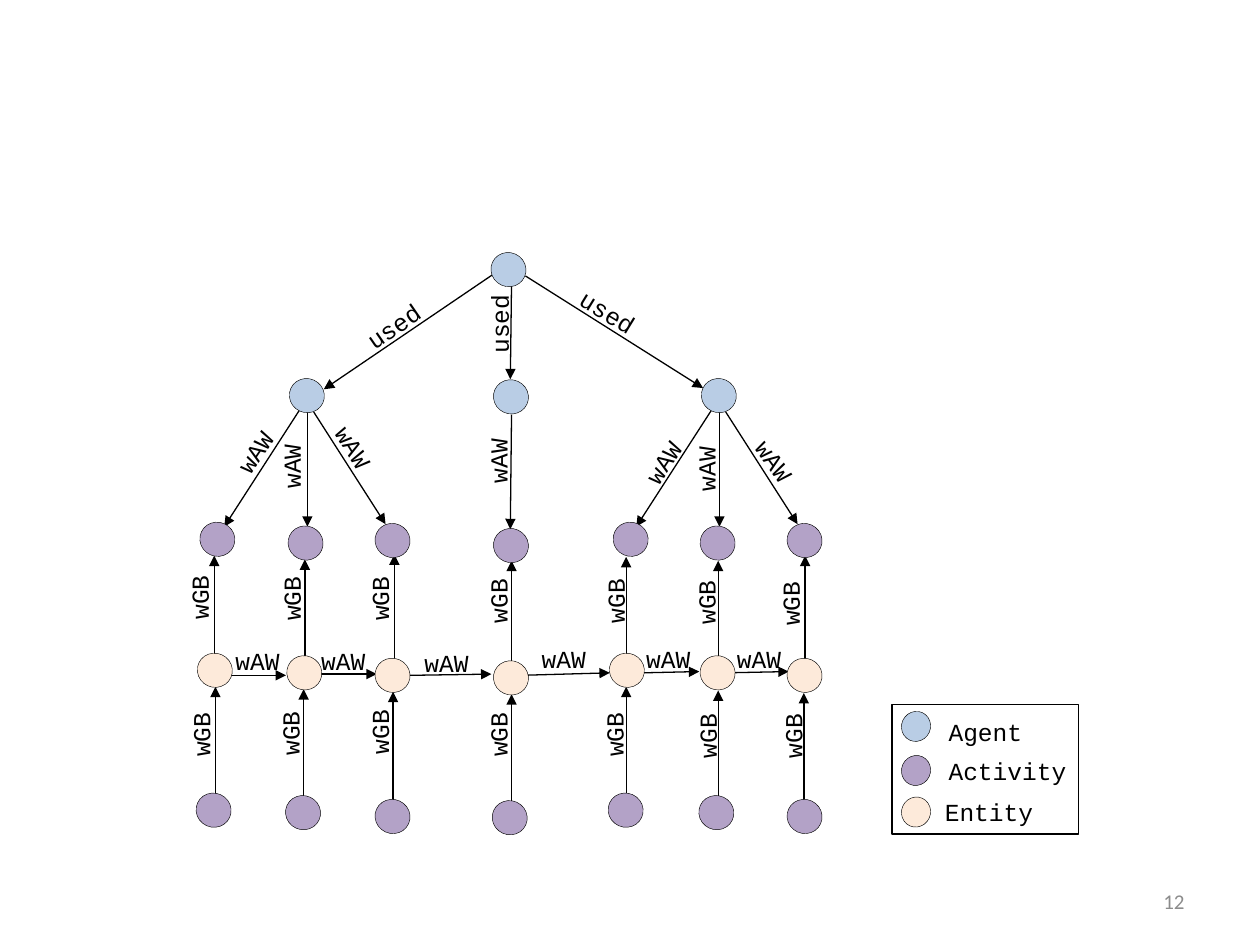
from pptx import Presentation
from pptx.dml.color import RGBColor
from pptx.enum.shapes import MSO_CONNECTOR, MSO_SHAPE
from pptx.enum.text import MSO_ANCHOR, MSO_AUTO_SIZE, PP_ALIGN
from pptx.oxml.ns import qn
from pptx.util import Inches, Pt
from lxml import etree

LINE = MSO_CONNECTOR.STRAIGHT
OVAL, RECT = MSO_SHAPE.OVAL, MSO_SHAPE.RECTANGLE
TOP, MIDDLE = MSO_ANCHOR.TOP, MSO_ANCHOR.MIDDLE
LEFT, RIGHT = PP_ALIGN.LEFT, PP_ALIGN.RIGHT
FIT, FIXED = MSO_AUTO_SIZE.SHAPE_TO_FIT_TEXT, MSO_AUTO_SIZE.NONE

COLORS = {"agent": "B9CDE5", "activity": "B3A2C7", "entity": "FDEADA",
          "ink": "000000", "paper": "FFFFFF", "muted": "8C8C8C"}
COLS, ROWS = 10, 7.5


def color(name):
    """Return the named colour."""
    return RGBColor.from_string(COLORS[name])


def write(tf, text, font="Courier New", size=14, ink="ink", align=LEFT):
    """Put one formatted line of text in a text frame."""
    p = tf.paragraphs[0]
    p.alignment = align
    r = p.add_run()
    r.text = text
    r.font.name = font
    r.font.size = Pt(size)
    r.font.color.rgb = color(ink)


class Graph:
    """Draw provenance graph elements on a slide grid."""

    def __init__(self, prs):
        """Add a blank slide and measure its grid."""
        self.s = prs.slides.add_slide(prs.slide_layouts[6])
        self.col = prs.slide_width / COLS
        self.row = prs.slide_height / ROWS

    def grid(self, *lengths):
        """Turn alternating columns and rows into slide lengths."""
        units = (self.col, self.row)
        return [round(n * units[i % 2]) for i, n in enumerate(lengths)]

    def shape(self, kind, box, fill, width, turn=0):
        """Draw a filled and outlined shape."""
        sp = self.s.shapes.add_shape(kind, *self.grid(*box))
        sp.shadow.inherit = False
        sp.fill.solid()
        sp.fill.fore_color.rgb = color(fill)
        sp.line.color.rgb = color("ink")
        sp.line.width = Pt(width)
        sp.rotation = turn

    def node(self, x, y, kind, w=0.27, h=0.28):
        """Draw a graph node."""
        self.shape(OVAL, (x, y, w, h), kind, 0.25, 114.5)

    def arrow(self, x1, y1, x2, y2):
        """Draw an arrow between two points."""
        c = self.s.shapes.add_connector(LINE, *self.grid(x1, y1, x2, y2))
        c.line.color.rgb = color("ink")
        c.line.width = Pt(0.75)
        etree.SubElement(c.line._get_or_add_ln(), qn("a:tailEnd"), type="triangle")
        etree.SubElement(c._element.spPr, qn("a:effectLst"))

    def text(self, text, box, turn=0, wrap=True, anchor=TOP, fit=FIT, **style):
        """Add a text box."""
        sp = self.s.shapes.add_textbox(*self.grid(*box))
        sp.rotation = turn
        tf = sp.text_frame
        tf.word_wrap = wrap
        tf.auto_size = fit
        tf.vertical_anchor = anchor
        write(tf, text, **style)

    def label(self, text, x, y, turn=0, w=0.55):
        """Add an edge label."""
        self.text(text, (x, y, w, 0.34), turn, wrap=False)


prs = Presentation()
prs.slide_width, prs.slide_height = Inches(COLS), Inches(ROWS)
g = Graph(prs)

SHIFT = 3.27
UP = 270
NODE_ROWS = [
    ("activity", (1.59, 2.29, 2.98, 3.92, 4.87, 5.56, 6.25),
     (4.14, 4.17, 4.15, 4.19, 4.14, 4.17, 4.15)),
    ("entity", (1.57, 2.28, 2.98, 3.92, 4.84, 5.56, 6.25),
     (5.18, 5.2, 5.22, 5.24, 5.18, 5.2, 5.22)),
    ("activity", (1.56, 2.27, 2.98, 3.91, 4.83, 5.55, 6.25),
     (6.29, 6.31, 6.34, 6.35, 6.29, 6.31, 6.34)),
    ("agent", (3.9, 2.3, 3.92, 2.3 + SHIFT), (2, 3, 3.01, 3)),
]
GENERATED = [
    (5.3, (1.7, 2.42, 3.13, 4.06, 4.97, 5.7, 6.39),
     (4.41, 4.44, 4.4, 4.45, 4.42, 4.45, 4.41),
     (1.31, 2.04, 2.74, 3.68, 4.61, 5.33, 6),
     (4.57, 4.58, 4.58, 4.6, 4.6, 4.61, 4.62)),
    (6.4, (1.71, 2.41, 3.12, 4.06, 4.97, 5.7, 6.38),
     (5.45, 5.47, 5.49, 5.51, 5.45, 5.48, 5.5),
     (1.32, 2.03, 2.74, 3.68, 4.6, 5.34, 6.02),
     (5.66, 5.65, 5.64, 5.66, 5.66, 5.67, 5.67)),
]
USED = [(3.91, 2.18, 2.57, 3.09), (4.06, 2.25, 4.05, 3.01), (4.17, 2.19, 5.58, 3.08)]
BRANCHES = [(2.38, 3.25, 1.78, 4.18), (2.44, 3.26, 2.44, 4.18), (2.49, 3.27, 3.06, 4.16)]
CHAIN = [(1.82, 5.36, 2.27, 5.36), (2.55, 5.35, 2.99, 5.35), (3.25, 5.36, 3.9, 5.35),
         (4.13, 5.36, 4.84, 5.34), (5.11, 5.34, 5.55, 5.33), (5.77, 5.34, 6.26, 5.33)]
USED_LABELS = [(2.79, 2.42, 325.3), (3.63, 2.4, UP), (4.49, 2.31, 31.6)]
WAW_LABELS = [(1.75, 3.42, 303.6), (2.04, 3.53, UP), (2.53, 3.38, 58.8), (3.68, 3.49, UP),
              (4.99, 3.5, 303.6), (5.33, 3.55, UP), (5.87, 3.49, 54.2),
              (1.77, 5.08), (2.45, 5.08), (3.27, 5.09),
              (4.2, 5.06), (5.03, 5.06), (5.75, 5.06)]
LEGEND = [("Agent", 5.65, 7.43, 5.64), ("Activity", 6, 7.43, 5.95),
          ("Entity", 6.33, 7.4, 6.28)]

for ends in USED + CHAIN + [(4.06, 3.29, 4.05, 4.2)]:
    g.arrow(*ends)
for x1, y1, x2, y2 in BRANCHES:
    for dx in (0, SHIFT):
        g.arrow(x1 + dx, y1, x2 + dx, y2)
for start, xs, tips, _, _ in GENERATED:
    for x, tip in zip(xs, tips):
        g.arrow(x, start, x, tip)

for kind, xs, ys in NODE_ROWS:
    for x, y in zip(xs, ys):
        g.node(x, y, kind)

for place in USED_LABELS:
    g.label("used", *place, w=0.67)
for place in WAW_LABELS:
    g.label("wAW", *place)
for _, _, _, xs, ys in GENERATED:
    for x, y in zip(xs, ys):
        g.label("wGB", x, y, UP)

g.shape(RECT, (7.08, 5.59, 1.48, 1.03), "paper", 0.75)
for name, node_y, x, y in LEGEND:
    g.node(7.15, node_y, name.lower(), 0.24, 0.23)
    g.text(name, (x, y, 1.71, 0.34))

g.text("12", (7.17, 6.95, 2.33, 0.4), anchor=MIDDLE, fit=FIXED,
       font="Calibri", size=12, ink="muted", align=RIGHT)

prs.save("out.pptx")
